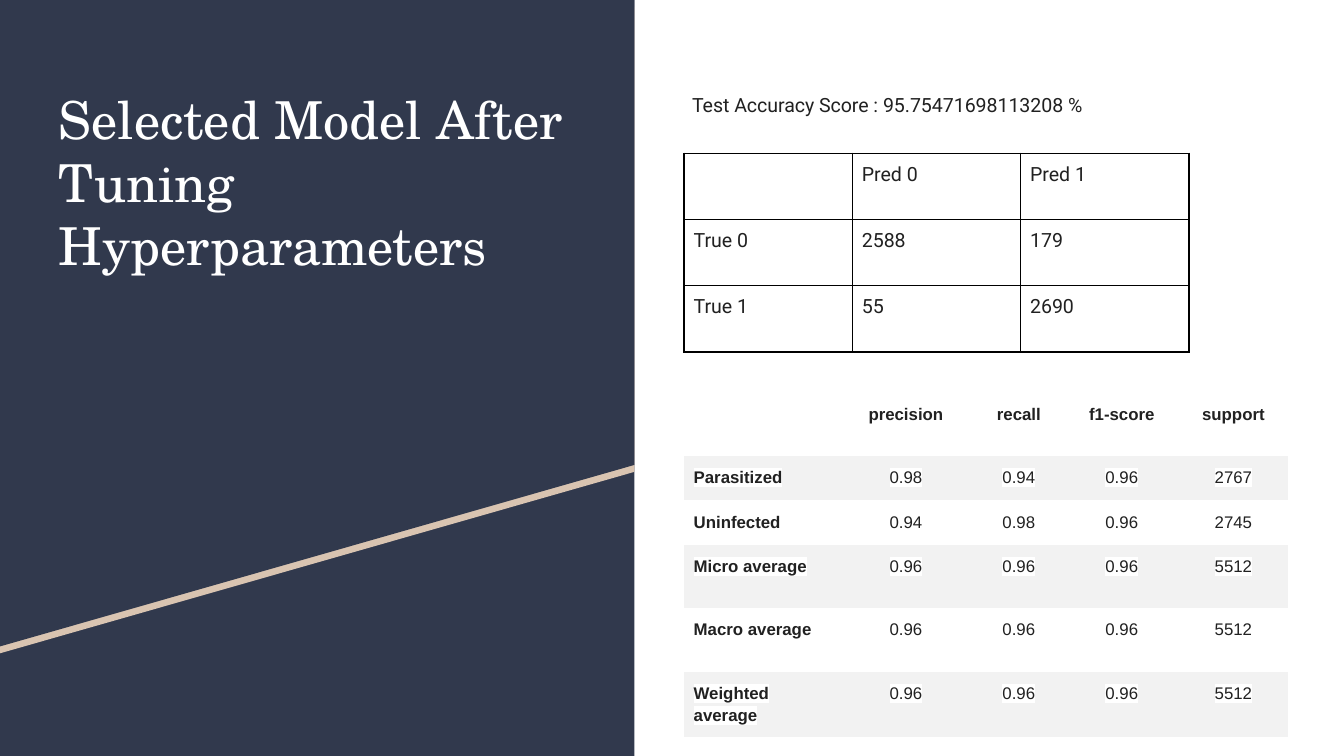
from lxml import etree
from pptx import Presentation
from pptx.dml.color import RGBColor
from pptx.enum.shapes import MSO_SHAPE
from pptx.enum.text import MSO_ANCHOR, MSO_AUTO_SIZE, PP_ALIGN
from pptx.oxml.ns import qn
from pptx.util import Cm, Pt

RECTANGLE = MSO_SHAPE.RECTANGLE
TOP = MSO_ANCHOR.TOP
NO_AUTOFIT = MSO_AUTO_SIZE.NONE
LEFT, CENTER, JUSTIFY = PP_ALIGN.LEFT, PP_ALIGN.CENTER, PP_ALIGN.JUSTIFY

COLORS = {
    "navy": "31394D",
    "sand": "D9C4B1",
    "white": "FFFFFF",
    "ink": "212121",
    "stripe": "F2F2F2",
    "black": "000000",
}
TITLE_FONT = {"name": "TeX Gyre Schola", "size": Pt(28), "bold": False}
ROBOTO_FONT = {"name": "Roboto", "size": Pt(10.5), "bold": False}
REPORT_FONT = {"name": "Arial", "size": Pt(9), "bold": False}
HEADING_FONT = {**REPORT_FONT, "bold": True}

PANEL_WIDTH = 11.99
TABLE_LEFT = 12.93
BORDER_SIDES = ("a:lnL", "a:lnR", "a:lnT", "a:lnB")

CONFUSION = [
    ["", "Pred 0", "Pred 1"],
    ["True 0", "2588", "179"],
    ["True 1", "55", "2690"],
]
REPORT = [
    ["", "precision", "recall", "f1-score", "support"],
    ["Parasitized", "0.98", "0.94", "0.96", "2767"],
    ["Uninfected", "0.94", "0.98", "0.96", "2745"],
    ["Micro average", "0.96", "0.96", "0.96", "5512"],
    ["Macro average", "0.96", "0.96", "0.96", "5512"],
    ["Weighted average", "0.96", "0.96", "0.96", "5512"],
]


def color(name):
    """Return the named palette colour."""
    return RGBColor.from_string(COLORS[name])


def set_values(target, values):
    """Set each attribute of the target from a dict."""
    for name, value in values.items():
        setattr(target, name, value)


def add_solid_fill(parent, name):
    """Append a solid fill element in the named colour."""
    fill = etree.SubElement(parent, qn("a:solidFill"))
    etree.SubElement(fill, qn("a:srgbClr"), val=COLORS[name])


def highlight(span):
    """Give a coloured run a white highlight."""
    mark = etree.Element(qn("a:highlight"))
    etree.SubElement(mark, qn("a:srgbClr"), val=COLORS["white"])
    span.font.color.rgb = color("ink")
    span.font.fill
    span.font.color
    span._r.rPr.find(qn("a:solidFill")).addnext(mark)


def write(frame, text, font, align=LEFT, spacing=1.0):
    """Write one highlighted paragraph into a text frame."""
    para = frame.paragraphs[0]
    set_values(para, {"alignment": align, "line_spacing": spacing})
    span = para.add_run()
    span.text = text
    set_values(span.font, font)
    highlight(span)


def paint(shape, name):
    """Fill a shape with a flat colour and no outline."""
    shape.shadow.inherit = False
    shape.fill.solid()
    shape.fill.fore_color.rgb = color(name)
    shape.line.fill.background()


def add_panel(page, height):
    """Add the navy panel behind the title."""
    panel = page.shapes.add_shape(RECTANGLE, 0, 0, Cm(PANEL_WIDTH), height)
    paint(panel, "navy")


def add_slanted_block(page, top, right_end, left_end, name):
    """Add a block whose lower edge rises to the right."""
    builder = page.shapes.build_freeform(0, Cm(top))
    corners = [(PANEL_WIDTH, top), (PANEL_WIDTH, right_end), (0, left_end)]
    builder.add_line_segments([(Cm(x), Cm(y)) for x, y in corners], close=True)
    paint(builder.convert_to_shape(), name)


def place_title(page, text):
    """Move, fill and format the title in front of the panel."""
    title = page.shapes.title
    title.element.getparent().append(title.element)
    set_values(title, {"left": Cm(0.86), "top": Cm(1.4),
                       "width": Cm(10.29), "height": Cm(6.96)})
    frame = title.text_frame
    frame.text = text
    set_values(frame, {"word_wrap": True, "auto_size": NO_AUTOFIT, "vertical_anchor": TOP})
    set_margins(frame, 0.25)
    para = frame.paragraphs[0]
    para.alignment = LEFT
    set_values(para.runs[0].font, TITLE_FONT)
    para.runs[0].font.color.rgb = color("white")


def set_margins(target, size):
    """Set equal margins on all four sides."""
    sides = ("left", "top", "right", "bottom")
    set_values(target, {f"margin_{side}": Cm(size) for side in sides})


def add_score(page, text):
    """Add the accuracy line above the tables."""
    box = page.shapes.add_textbox(Cm(12.83), Cm(1.45), Cm(11.58), Cm(1))
    box.text_frame.word_wrap = True
    set_margins(box.text_frame, 0.25)
    write(box.text_frame, text, ROBOTO_FONT, spacing=1.15)


def set_borders(cell, width):
    """Draw black cell borders, or none when the width is zero."""
    properties = cell._tc.get_or_add_tcPr()
    for position, side in enumerate(BORDER_SIDES):
        line = etree.Element(qn(side), w=str(Pt(width)))
        if width:
            add_solid_fill(line, "black")
        else:
            etree.SubElement(line, qn("a:noFill"))
        properties.insert(position, line)


def add_grid(page, top, rows, widths, heights, border, style):
    """Add a table, with fill and text format chosen by a style function."""
    table = page.shapes.add_table(
        len(rows), len(widths), Cm(TABLE_LEFT), Cm(top),
        Cm(sum(widths)), Cm(sum(heights))).table
    set_values(table, {"first_row": False, "horz_banding": False})
    for column, width in zip(table.columns, widths):
        column.width = Cm(width)
    for row, height in zip(table.rows, heights):
        row.height = Cm(height)
    for r, values in enumerate(rows):
        for c, text in enumerate(values):
            cell = table.cell(r, c)
            fill, text_format = style(r, c)
            set_margins(cell, 0.18)
            if fill:
                cell.fill.solid()
                cell.fill.fore_color.rgb = color(fill)
            else:
                cell.fill.background()
            set_borders(cell, border)
            if text:
                write(cell.text_frame, text, **text_format)


def confusion_style(row, column):
    """Return the plain format of the confusion matrix."""
    return None, {"font": ROBOTO_FONT}


def report_style(row, column):
    """Return banded rows with bold headings."""
    heading = row == 0 or column == 0
    return "stripe" if row % 2 else None, {
        "font": HEADING_FONT if heading else REPORT_FONT,
        "align": CENTER if column else JUSTIFY,
        "spacing": 1.15,
    }


def main():
    """Build and save the slide."""
    deck = Presentation()
    set_values(deck, {"slide_width": Cm(25.4), "slide_height": Cm(14.29)})
    page = deck.slides.add_slide(deck.slide_layouts[5])
    add_panel(page, deck.slide_height)
    add_slanted_block(page, 0.13, 8.92, 12.35, "sand")
    add_slanted_block(page, 0, 8.79, 12.22, "navy")
    place_title(page, "Selected Model After Tuning Hyperparameters")
    add_score(page, "Test Accuracy Score : 95.75471698113208 %")
    add_grid(page, 2.9, CONFUSION, [3.18] * 3, [1.25] * 3, 1, confusion_style)
    add_grid(page, 7.42, REPORT, [2.92, 2.54, 1.73, 2.16, 2.06],
             [1.2, 0.84, 0.84, 1.2, 1.2, 1.2], 0, report_style)
    deck.save("out.pptx")


if __name__ == "__main__":
    main()
